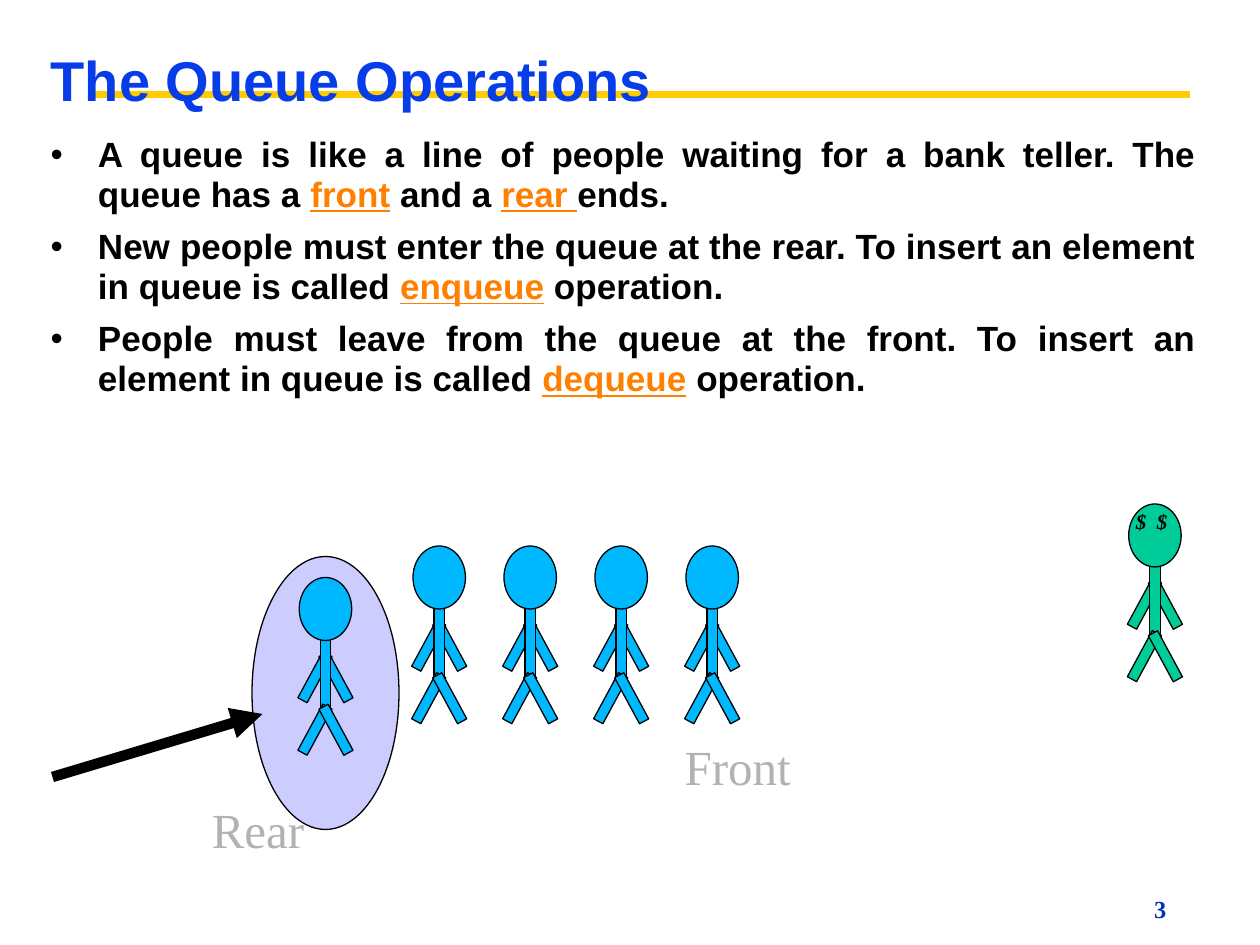
from lxml.etree import SubElement as Sub
from pptx import Presentation
from pptx.dml.color import RGBColor as RGB
from pptx.enum.shapes import MSO_CONNECTOR as Link, MSO_SHAPE as Form
from pptx.enum.text import PP_ALIGN as Align
from pptx.oxml.ns import qn
from pptx.util import Pt

HUES = {
    "title": "063DE8", "text": "000000", "mark": "FF8000", "page": "0332B7",
    "rule": "FFCC00", "halo": "CCCCFF", "guest": "00B8FF", "clerk": "00CC99",
    "label": "B2B2B2",
}
SANS, SERIF = "Arial", "Times New Roman"


def draw(home, form, area, hue, turn=0):
    part = home.add_shape(form, *map(Pt, area))
    part.shadow.inherit = False
    part.fill.solid()
    part.fill.fore_color.rgb = RGB.from_string(HUES[hue])
    part.line.color.rgb = RGB.from_string(HUES["text"])
    part.line.width = Pt(0.75)
    part.rotation = turn


def write(home, area, rows, size, face, pad, bold=True, slant=False, wrap=True):
    box = home.add_textbox(*map(Pt, area))
    frame = box.text_frame
    frame.word_wrap = wrap
    frame.margin_left = frame.margin_right = Pt(pad)
    frame.margin_top = frame.margin_bottom = Pt(pad / 2)
    for at, row in enumerate(rows):
        para = frame.paragraphs[0] if at == 0 else frame.add_paragraph()
        para.line_spacing = 0.95
        for text, hue in row:
            run = para.add_run()
            run.text = text
            font = run.font
            font.name, font.size = face, Pt(size)
            font.bold, font.italic = bold, slant
            font.underline = hue == "mark"
            font.color.rgb = RGB.from_string(HUES[hue])
    return frame


deck = Presentation()
deck.slide_width, deck.slide_height = Pt(720), Pt(540)
slide = deck.slides.add_slide(deck.slide_layouts[6])
shapes = slide.shapes

write(shapes, (654.5, 509.8, 73.4, 21), [[("3", "page")]], 14, SERIF, 5)

lines = []
for start, end, hue, width in [
    ((54, 54), (680, 54), "rule", 4.5),
    ((30, 444), (150, 408), "text", 6),
]:
    line = shapes.add_connector(Link.STRAIGHT, *map(Pt, start + end))
    line.line.color.rgb = RGB.from_string(HUES[hue])
    line.line.width = Pt(width)
    Sub(line._element.spPr, qn("a:effectLst"))
    lines.append(line)
arrow = lines[1]
Sub(arrow.line._get_or_add_ln(), qn("a:tailEnd"), type="triangle")

draw(shapes, Form.OVAL, (144, 318, 84, 156), "halo")
write(shapes, (24, 26.6, 612, 90), [[("The Queue Operations", "title")]], 32, SANS, 5)

points = [
    [
        ("A queue is like a line of people waiting for a bank teller. The queue has a ", "text"),
        ("front", "mark"), (" and a ", "text"), ("rear ", "mark"), ("ends.", "text"),
    ],
    [
        ("New people must enter the queue at the rear. To insert an element in queue is called ", "text"),
        ("enqueue", "mark"), (" operation.", "text"),
    ],
    [
        ("People must leave from the queue at the front. To insert an element in queue is called ", "text"),
        ("dequeue", "mark"), (" operation.", "text"),
    ],
]
body = write(shapes, (24, 75, 664.5, 201), points, 20, SANS, 5)
for para in body.paragraphs:
    para.alignment = Align.JUSTIFY
    para.space_before = Pt(7)
    props = para._p.get_or_add_pPr()
    props.set("marL", str(Pt(27)))
    props.set("indent", str(Pt(-27)))
    tint = Sub(props, qn("a:buClr"))
    Sub(tint, qn("a:srgbClr"), val=HUES["text"])
    Sub(props, qn("a:buFont"), typeface=SANS)
    Sub(props, qn("a:buChar"), char="•")

parts = [
    (Form.RECTANGLE, 6, 42, 6, 30, 28.4),
    (Form.RECTANGLE, 18, 42, 6, 30, -28.4),
    (Form.RECTANGLE, 12, 30, 6, 48, 0),
    (Form.OVAL, 0, 0, 30, 36, 0),
    (Form.RECTANGLE, 6, 72, 6, 30, 28.4),
    (Form.RECTANGLE, 18, 72, 6, 30, -28.4),
]
crowd = [(236 + 52 * i, 312, "guest") for i in range(4)]
crowd += [(645, 288, "clerk"), (171, 330, "guest")]
for left, top, hue in crowd:
    group = shapes.add_group_shape().shapes
    for form, x, y, wide, high, turn in parts:
        draw(group, form, (left + x, top + y, wide, high), hue, turn)
    if hue == "clerk":
        write(group, (left - 3, top, 36, 36), [[("$  $", "text")]], 12, SERIF, 7.2, slant=True)

shapes._spTree.append(arrow._element)
for text, left, top, wide in [("Front", 384.2, 420, 75), ("Rear", 114, 456, 67)]:
    write(shapes, (left, top, wide, 39), [[(text, "label")]], 28, SERIF, 7.2, bold=False, wrap=False)

deck.save("out.pptx")
